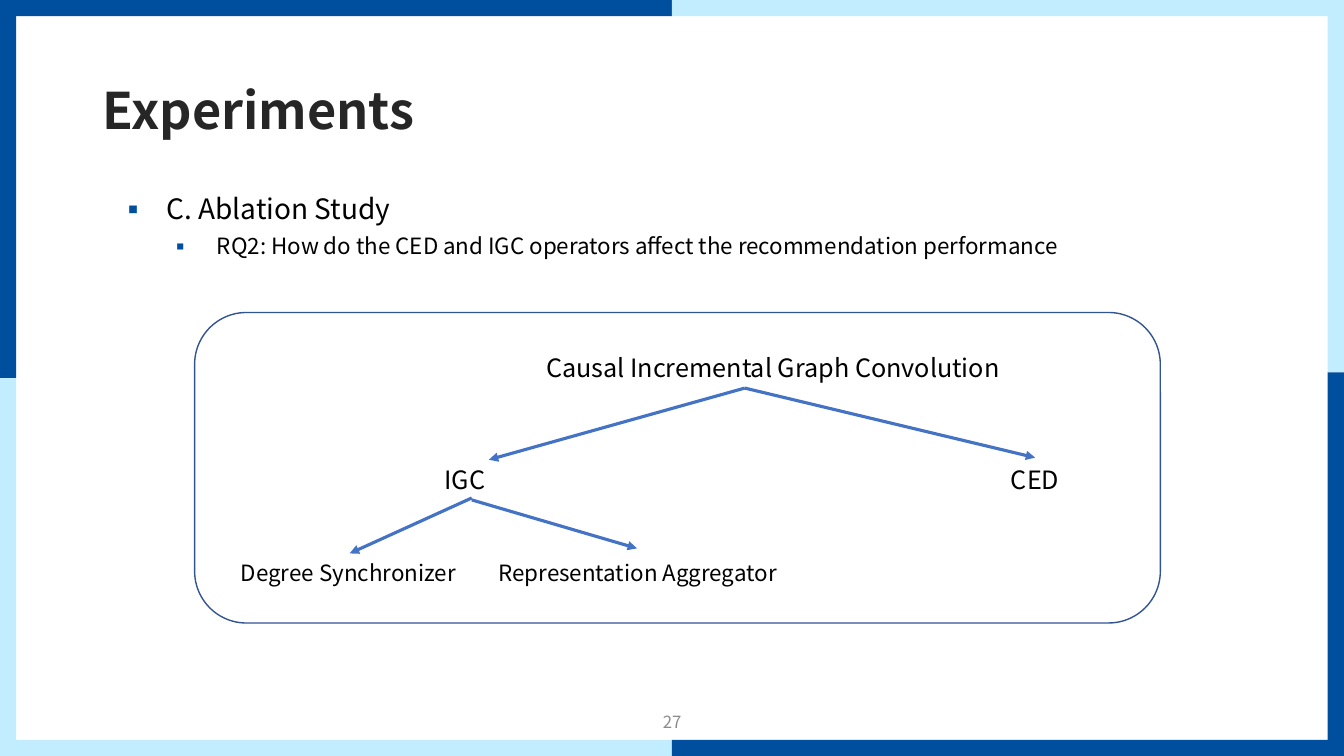
from lxml.etree import SubElement
from pptx import Presentation
from pptx.dml.color import RGBColor
from pptx.enum.shapes import MSO_CONNECTOR as Link, MSO_SHAPE as Kind
from pptx.enum.text import MSO_ANCHOR as Anchor, MSO_AUTO_SIZE as Auto, PP_ALIGN as Align
from pptx.oxml.ns import qn
from pptx.util import Pt

FACE = "Noto Sans CJK KR"
DARK, LIGHT, BLACK = "004F9E", "C2EDFE", "000000"
WIDE, HIGH, BAR = 960, 540, 11.6


def paint(part, tone):
    if hasattr(part, "solid"):
        part.solid()
        part.fore_color.rgb = RGBColor.from_string(tone)
    else:
        part.color.rgb = RGBColor.from_string(tone)


def place(shape, box):
    shape.left, shape.top, shape.width, shape.height = map(Pt, box)


def style(para, size, tone=BLACK, bold=False):
    font = para.font
    font.name, font.size, font.bold = FACE, Pt(size), bold
    paint(font, tone)


def add_bar(shapes, box, tone):
    bar = shapes.add_shape(Kind.RECTANGLE, *map(Pt, box))
    bar.shadow.inherit = False
    paint(bar.fill, tone)
    bar.line.fill.background()


def add_frame(shapes):
    half, edge = WIDE / 2, WIDE - BAR
    for top, tones in ((0, (DARK, LIGHT)), (HIGH - BAR, (LIGHT, DARK))):
        for step, tone in enumerate(tones):
            add_bar(shapes, (step * half, top, half, BAR), tone)
    for left, split, tones in ((0, 270, (DARK, LIGHT)), (edge, 266, (LIGHT, DARK))):
        add_bar(shapes, (left, 0, BAR, split), tones[0])
        add_bar(shapes, (left, split, BAR, HIGH - split), tones[1])


def set_title(title):
    place(title, (66.2, 28.8, 828, 104.4))
    frame = title.text_frame
    frame.text = "Experiments"
    frame.auto_size = Auto.NONE
    frame.vertical_anchor = Anchor.MIDDLE
    para = frame.paragraphs[0]
    para.alignment = Align.LEFT
    para.line_spacing = 0.9
    style(para, 36, "262626", True)


def add_bullet(para, left):
    props = para._p.get_or_add_pPr()
    props.set("marL", str(Pt(left)))
    props.set("indent", str(Pt(-34)))
    tint = SubElement(props, qn("a:buClr"))
    SubElement(tint, qn("a:srgbClr"), val=DARK)
    SubElement(props, qn("a:buFont"), typeface=FACE)
    SubElement(props, qn("a:buChar"), char="▪")


def set_body(body):
    place(body, (77.8, 133.2, 815.8, 342.7))
    frame = body.text_frame
    frame.text = ("C. Ablation Study\n"
                  "RQ2: How do the CED and IGC operators affect the recommendation performance")
    frame.auto_size = Auto.NONE
    looks = ((20, 10, 34), (16, 5, 70))
    for level, (para, (size, gap, left)) in enumerate(zip(frame.paragraphs, looks)):
        para.level = level
        para.space_before = Pt(gap)
        add_bullet(para, left)
        style(para, size)


def add_label(shapes, text, box, size, tone=BLACK, align=Align.LEFT):
    label = shapes.add_textbox(*map(Pt, box))
    frame = label.text_frame
    frame.word_wrap = True
    frame.text = text
    frame.vertical_anchor = Anchor.MIDDLE
    para = frame.paragraphs[0]
    para.alignment = align
    style(para, size, tone)


def add_arrow(shapes, start, end):
    arrow = shapes.add_connector(Link.STRAIGHT, *map(Pt, start + end))
    paint(arrow.line, "4472C4")
    arrow.line.width = Pt(2.25)
    SubElement(arrow.line._get_or_add_ln(), qn("a:tailEnd"), type="triangle")
    SubElement(arrow._element.spPr, qn("a:effectLst"))


def add_panel(shapes):
    panel = shapes.add_shape(Kind.ROUNDED_RECTANGLE, *map(Pt, (139, 223.2, 689.8, 221.8)))
    panel.shadow.inherit = False
    panel.fill.background()
    paint(panel.line, "325491")
    panel.line.width = Pt(1)


def add_tree(shapes):
    for text, left, top, width, size in (
        ("Causal Incremental Graph Convolution", 383, 248.4, 480, 18),
        ("IGC", 310.3, 328.4, 145, 18),
        ("CED", 715, 328.4, 145, 18),
        ("Representation Aggregator", 349, 395.3, 480, 16),
        ("Degree Synchronizer", 165, 395.3, 170, 16),
    ):
        add_label(shapes, text, (left, top, width, size + 10.8), size)
    for start, end in (
        ((532, 277.2), (349.2, 328.4)),
        ((532, 277.2), (739.4, 326.9)),
        ((337, 355.7), (249.8, 395.3)),
        ((337, 357.1), (455, 391.7)),
    ):
        add_arrow(shapes, start, end)
    add_panel(shapes)


def main():
    deck = Presentation()
    deck.slide_width, deck.slide_height = Pt(WIDE), Pt(HIGH)
    slide = deck.slides.add_slide(deck.slide_layouts[1])
    shapes = slide.shapes
    add_frame(shapes)
    set_title(shapes.title)
    set_body(slide.placeholders[1])
    add_label(shapes, "27", (372.2, 501.1, 216, 28.8), 12, "8C8C8C", Align.CENTER)
    add_tree(shapes.add_group_shape().shapes)
    deck.save("out.pptx")


if __name__ == "__main__":
    main()
